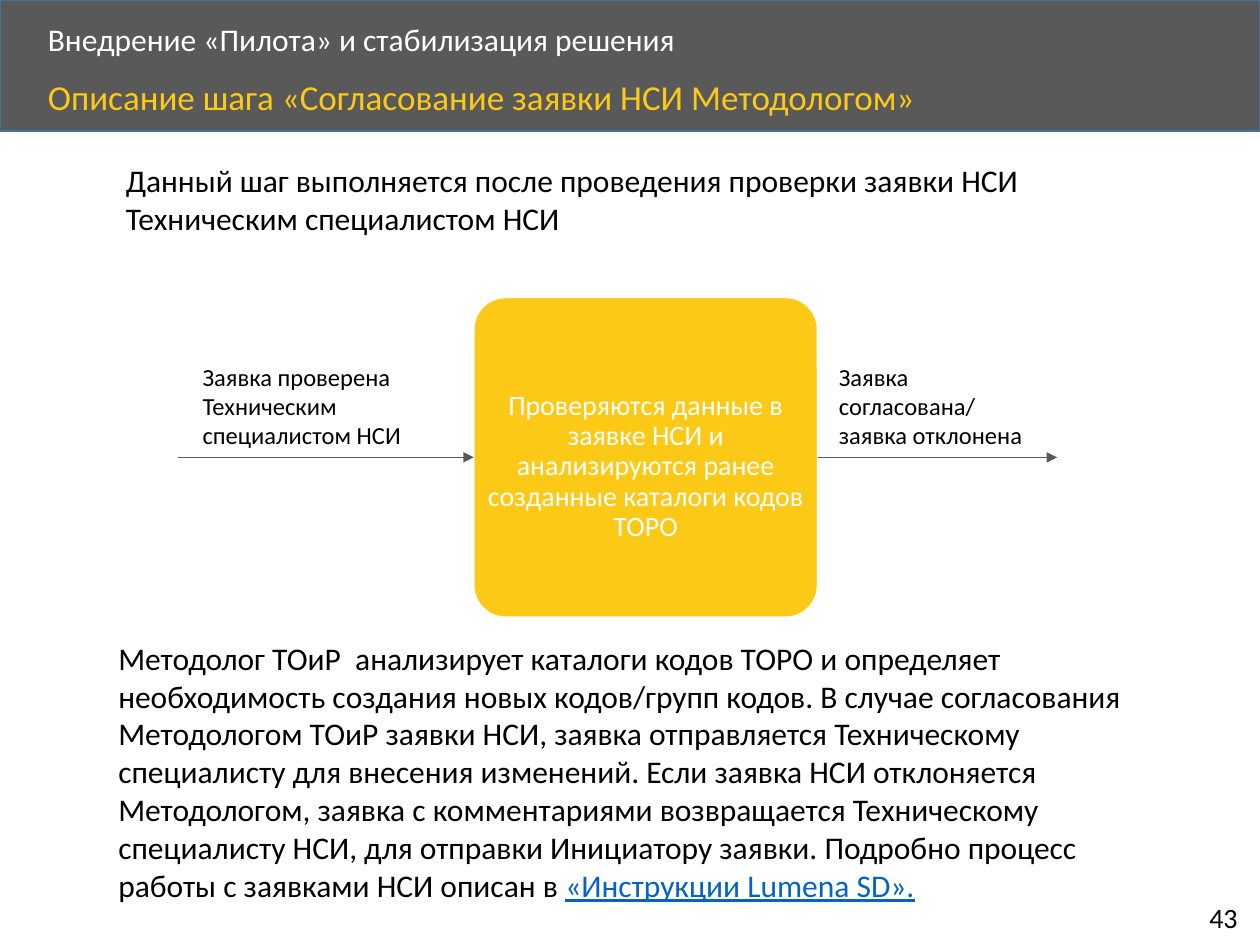
from lxml.etree import SubElement
from pptx import Presentation
from pptx.dml.color import RGBColor
from pptx.enum.shapes import MSO_CONNECTOR as Connector, MSO_SHAPE as Shape
from pptx.enum.text import MSO_ANCHOR as Anchor, MSO_AUTO_SIZE as AutoSize, PP_ALIGN as Align
from pptx.oxml.ns import qn
from pptx.util import Inches, Pt

COLORS = {
    "band": "595959",
    "band_edge": "43739E",
    "accent": "FCC917",
    "white": "FFFFFF",
    "text": "000000",
    "link": "0563C1",
}


def rgb(name):
    return RGBColor.from_string(COLORS[name])


def write(frame, text, size=18, color="text", align=Align.LEFT, spacing=None,
          anchor=Anchor.TOP, wrap=True, link=""):
    """Fill the frame with one plain paragraph; link is an underlined tail."""
    frame.auto_size = AutoSize.NONE
    frame.word_wrap = wrap
    frame.vertical_anchor = anchor
    para = frame.paragraphs[0]
    props = para._p.get_or_add_pPr()
    props.set("marL", "0")
    props.set("indent", "0")
    SubElement(props, qn("a:buNone"))
    para.alignment = align
    para.space_before = Pt(0)
    if spacing:
        para.line_spacing = spacing
    for words, tone in ((text, color), (link, "link")):
        if words:
            span = para.add_run()
            span.text = words
            span.font.name = "Calibri"
            span.font.size = Pt(size)
            span.font.color.rgb = rgb(tone)
            if tone == "link":
                span.font.underline = True


class SlideBuilder:
    def __init__(self, page):
        self.page = page

    def shape(self, kind, left, top, width, height, fill, line):
        shape = self.page.shapes.add_shape(
            kind, Inches(left), Inches(top), Inches(width), Inches(height))
        shape.shadow.inherit = False
        shape.fill.solid()
        shape.fill.fore_color.rgb = rgb(fill)
        shape.line.color.rgb = rgb(line)
        shape.line.width = Pt(1)
        return shape

    def band(self, height):
        """Header band, placed behind the placeholders."""
        band = self.shape(Shape.RECTANGLE, 0, 0, 10, height, "band", "band_edge")
        band.element.getparent().insert(2, band.element)

    def placeholder(self, index, left, top, width, height, text, **style):
        box = self.page.placeholders[index]
        box.left, box.top = Inches(left), Inches(top)
        box.width, box.height = Inches(width), Inches(height)
        write(box.text_frame, text, spacing=0.9, **style)

    def text(self, left, top, width, height, text, **style):
        box = self.page.shapes.add_textbox(
            Inches(left), Inches(top), Inches(width), Inches(height))
        write(box.text_frame, text, **style)

    def step(self, left, top, width, height, text):
        step = self.shape(Shape.ROUNDED_RECTANGLE, left, top, width, height, "accent", "white")
        step.adjustments[0] = 0.1
        frame = step.text_frame
        frame.margin_left = frame.margin_right = frame.margin_bottom = 0
        frame.margin_top = Inches(0.15)
        write(frame, text, size=16, color="white", align=Align.CENTER,
              spacing=0.9, anchor=Anchor.MIDDLE)
        return step

    def arrow(self, start, end, y, source=None, target=None):
        arrow = self.page.shapes.add_connector(
            Connector.STRAIGHT, Inches(start), Inches(y), Inches(end), Inches(y))
        if source:
            arrow.begin_connect(source, 3)
        if target:
            arrow.end_connect(target, 1)
        arrow.line.color.rgb = rgb("band")
        arrow.line.width = Pt(0.5)
        SubElement(arrow.line._get_or_add_ln(), qn("a:tailEnd"), type="triangle")
        SubElement(arrow.element.spPr, qn("a:effectLst"))


def main():
    deck = Presentation()
    deck.slide_width, deck.slide_height = Inches(10), Inches(7.5)
    slide = SlideBuilder(deck.slides.add_slide(deck.slide_layouts[1]))

    slide.band(1.04)
    slide.placeholder(0, 0.28, 0.14, 8.07, 0.38, "Внедрение «Пилота» и стабилизация решения",
                      color="white", anchor=Anchor.MIDDLE)
    slide.placeholder(1, 0.28, 0.59, 8.67, 0.45,
                      "Описание шага «Согласование заявки НСИ Методологом»",
                      size=20, color="accent")

    slide.text(0.9, 1.23, 8.05, 1.01,
               "Данный шаг выполняется после проведения проверки заявки НСИ "
               "Техническим специалистом НСИ")

    step = slide.step(3.76, 2.36, 2.73, 2.54,
                      "Проверяются данные в заявке НСИ и анализируются ранее "
                      "созданные каталоги кодов ТОРО")
    slide.arrow(1.41, 3.76, 3.63, target=step)
    slide.arrow(6.49, 8.39, 3.63, source=step)
    slide.text(1.51, 2.82, 2.07, 0.81, "Заявка проверена Техническим специалистом НСИ", size=14)
    slide.text(6.56, 2.82, 1.84, 0.81, "Заявка согласована/ заявка отклонена", size=14)

    slide.text(0.84, 5.02, 8.58, 2.22,
               "Методолог ТОиР  анализирует каталоги кодов ТОРО и определяет "
               "необходимость создания новых кодов/групп кодов. В случае согласования "
               "Методологом ТОиР заявки НСИ, заявка отправляется Техническому "
               "специалисту для внесения изменений. Если заявка НСИ отклоняется "
               "Методологом, заявка с комментариями возвращается Техническому "
               "специалисту НСИ, для отправки Инициатору заявки. Подробно процесс "
               "работы c заявками НСИ описан в ",
               link="«Инструкции Lumena SD».")
    slide.text(9.5, 7.1, 0.46, 0.37, "43", size=16, wrap=False)

    deck.save("out.pptx")


if __name__ == "__main__":
    main()
